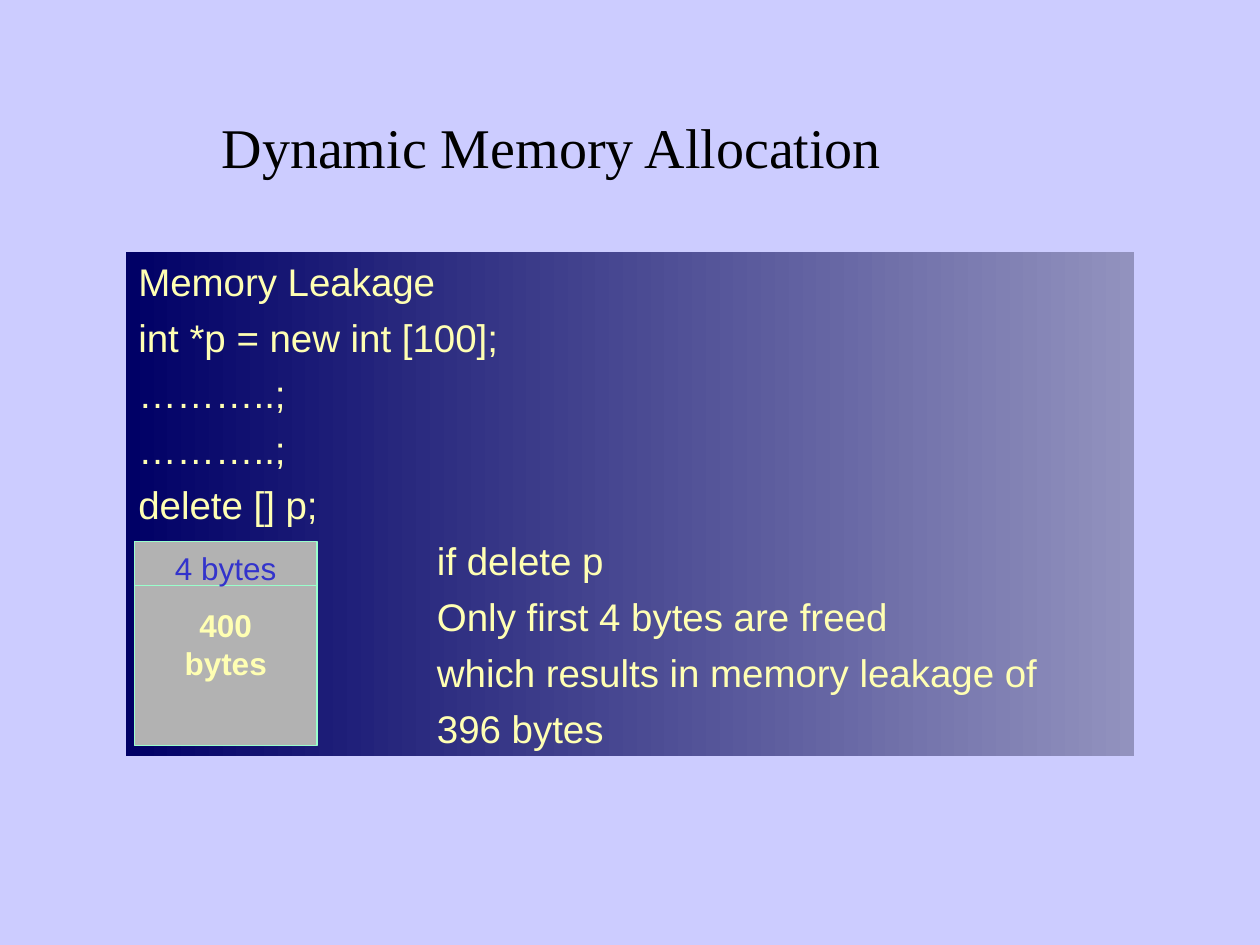
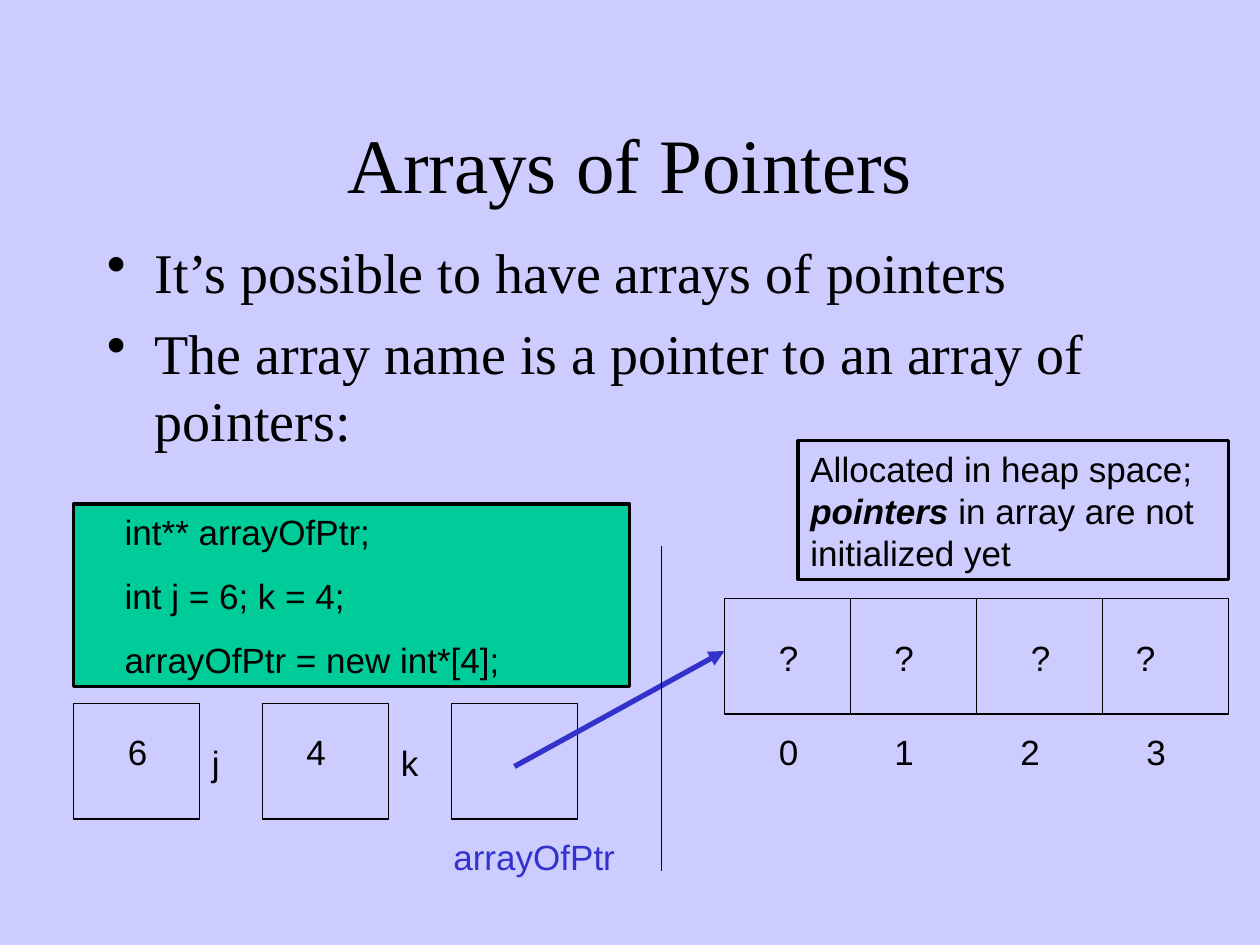
from dataclasses import dataclass

from lxml.etree import SubElement
from pptx import Presentation
from pptx.dml.color import RGBColor as RGB
from pptx.enum.shapes import MSO_CONNECTOR as CONNECTOR, MSO_SHAPE as SHAPE
from pptx.enum.text import MSO_ANCHOR as ANCHOR, PP_ALIGN as ALIGN
from pptx.oxml.ns import qn
from pptx.util import Inches, Pt

COLUMNS, ROWS = 120, 90
TITLE_ONLY = 5


@dataclass(frozen=True)
class Theme:
    background: str = "CCCCFF"
    ink: str = "000000"
    accent: str = "3333CC"
    cream: str = "FFFFB3"
    mint: str = "99FFCC"
    grey: str = "B2B2B2"
    green: str = "00CC99"
    panel: tuple = ("000066", "9292BE")
    serif: str = "Times New Roman"
    sans: str = "Arial"
    title: int = 44
    body: int = 32
    panel_text: int = 22
    text: int = 20
    small: int = 18
    thin: float = 0.75
    medium: float = 1.75
    thick: float = 3
    leading: float = 1.2


T = Theme()


def grid(*cells):
    """Turn grid cells (120 columns by 90 rows, all square) into lengths."""
    return [Inches(10 * c / COLUMNS) for c in cells]


def write(sp, *lines, size=T.text, color=T.ink, font=T.sans, bold=False,
          align=ALIGN.LEFT, anchor=ANCHOR.TOP, before=0, bullet=None):
    """Fill a shape; in a line given as a tuple, every second piece is emphasised."""
    tf = sp.text_frame
    tf.word_wrap, tf.vertical_anchor = True, anchor
    for i, line in enumerate(lines):
        p = tf.paragraphs[0] if i == 0 else tf.add_paragraph()
        if bullet:
            indent(p, 0.38, -0.38)
            SubElement(p._p.get_or_add_pPr(), qn("a:buChar"), char=bullet)
        p.alignment = align
        p.line_spacing = Pt(size * T.leading)
        p.space_before = Pt(before if i else 0)
        for j, piece in enumerate(line if isinstance(line, tuple) else (line,)):
            r = p.add_run()
            r.text = piece
            f = r.font
            f.name, f.size, f.color.rgb = font, Pt(size), RGB.from_string(color)
            f.bold, f.italic = bold or j % 2 == 1, j % 2 == 1
    return tf.paragraphs


def indent(p, left, first=0):
    pPr = p._p.get_or_add_pPr()
    pPr.set("marL", str(Inches(left)))
    pPr.set("indent", str(Inches(first)))


def add_slide(prs, title, at, size):
    s = prs.slides.add_slide(prs.slide_layouts[TITLE_ONLY])
    sp = s.shapes.title
    sp.left, sp.top, sp.width, sp.height = grid(*at)
    write(sp, title, size=size, font=T.serif, align=ALIGN.CENTER, anchor=ANCHOR.MIDDLE)
    return s


def add_text(s, at, *lines, **style):
    return write(s.shapes.add_textbox(*grid(*at)), *lines, **style)


def add_box(s, at, fill=None, line=None, width=T.thin):
    """Add a rectangle; a pair of fill colours makes a left-to-right gradient."""
    sp = s.shapes.add_shape(SHAPE.RECTANGLE, *grid(*at))
    sp.shadow.inherit = False
    if isinstance(fill, tuple):
        sp.fill.gradient()
        sp.fill.gradient_angle = 0
        for stop, color in zip(sp.fill.gradient_stops, fill):
            stop.color.rgb = RGB.from_string(color)
    elif fill:
        sp.fill.solid()
        sp.fill.fore_color.rgb = RGB.from_string(fill)
    else:
        sp.fill.background()
    if line:
        sp.line.color.rgb, sp.line.width = RGB.from_string(line), Pt(width)
    else:
        sp.line.fill.background()
    return sp


def add_line(s, ends, color=T.ink, width=T.thin, arrow=False):
    sp = s.shapes.add_connector(CONNECTOR.STRAIGHT, *grid(*ends))
    sp.line.color.rgb, sp.line.width = RGB.from_string(color), Pt(width)
    if arrow:
        SubElement(sp.line._get_or_add_ln(), qn("a:tailEnd"), type="triangle")
    SubElement(sp._element.spPr, qn("a:effectLst"))


def add_cells(s, left, top, step, count):
    for i in range(count):
        add_box(s, (left + i * step, top, 12, 11), line=T.ink)


def add_labels(s, top, labels):
    """Write short labels in one row, given as (column, text) pairs."""
    for left, text in labels:
        add_text(s, (left, top, 5, 5.3), text)


def memory_leak_slide(prs):
    s = add_slide(prs, "Dynamic Memory Allocation", (19.5, 9.4, 66.1, 9), T.body)
    code = ("Memory Leakage", "int *p = new int [100];", "………..;", "………..;",
            "delete [] p;")
    remarks = ("if delete p", "Only first 4 bytes are freed",
               "which results in memory leakage of", "396 bytes")
    panel = add_box(s, (12, 24, 96, 48), fill=T.panel)
    paragraphs = write(panel, *code, *remarks, size=T.panel_text, color=T.cream,
                       before=5.5)
    for p in paragraphs[len(code):]:
        indent(p, 2.37)

    left, width = 12.8, 17.4
    block = add_box(s, (left, 51.6, width, 19.4), fill=T.grey, line=T.mint)
    write(block, "400", "bytes", size=T.small, color=T.cream, bold=True,
          align=ALIGN.CENTER, anchor=ANCHOR.MIDDLE)
    add_line(s, (left, 55.75, left + width, 55.75), color=T.mint)
    add_text(s, (left, 51.7, width, 4.8), "4 bytes", size=T.small, color=T.accent,
             align=ALIGN.CENTER)


def pointer_array_slide(prs):
    s = add_slide(prs, "Arrays of Pointers", (9, 8, 102, 15), T.title)
    add_text(s, (9, 22, 102, 22), "It’s possible to have arrays of pointers",
             "The array name is a pointer to an array of pointers:",
             size=T.body, font=T.serif, before=8, bullet="•")
    code = add_box(s, (7, 48, 53, 17.4), fill=T.green, line=T.ink, width=T.medium)
    write(code, "    int** arrayOfPtr;", "    int j = 6; k = 4;",
          "    arrayOfPtr = new int*[4];", before=12.5)

    add_cells(s, 7, 67, 18, 3)
    add_labels(s, 69, [(11, "6"), (28, "4")])
    add_labels(s, 70, [(19, "j"), (37, "k")])
    add_text(s, (42, 79, 24, 5.3), "arrayOfPtr", color=T.accent)

    add_cells(s, 69, 57, 12, 4)
    add_labels(s, 60, [(left, "?") for left in (73, 84, 97, 107)])
    add_labels(s, 69, zip((73, 84, 96, 108), "0123"))
    add_line(s, (49, 73, 69, 62), color=T.accent, width=T.thick, arrow=True)
    note = add_box(s, (76, 42, 41, 13.2), line=T.ink, width=T.medium)
    write(note, ("Allocated in heap space; ", "pointers",
                 " in array are not initialized yet"))
    add_line(s, (63, 52, 63, 83))


def main():
    prs = Presentation()
    prs.slide_width, prs.slide_height = grid(COLUMNS, ROWS)
    fill = prs.slide_master.background.fill
    fill.solid()
    fill.fore_color.rgb = RGB.from_string(T.background)
    memory_leak_slide(prs)
    pointer_array_slide(prs)
    prs.save("out.pptx")


if __name__ == "__main__":
    main()
